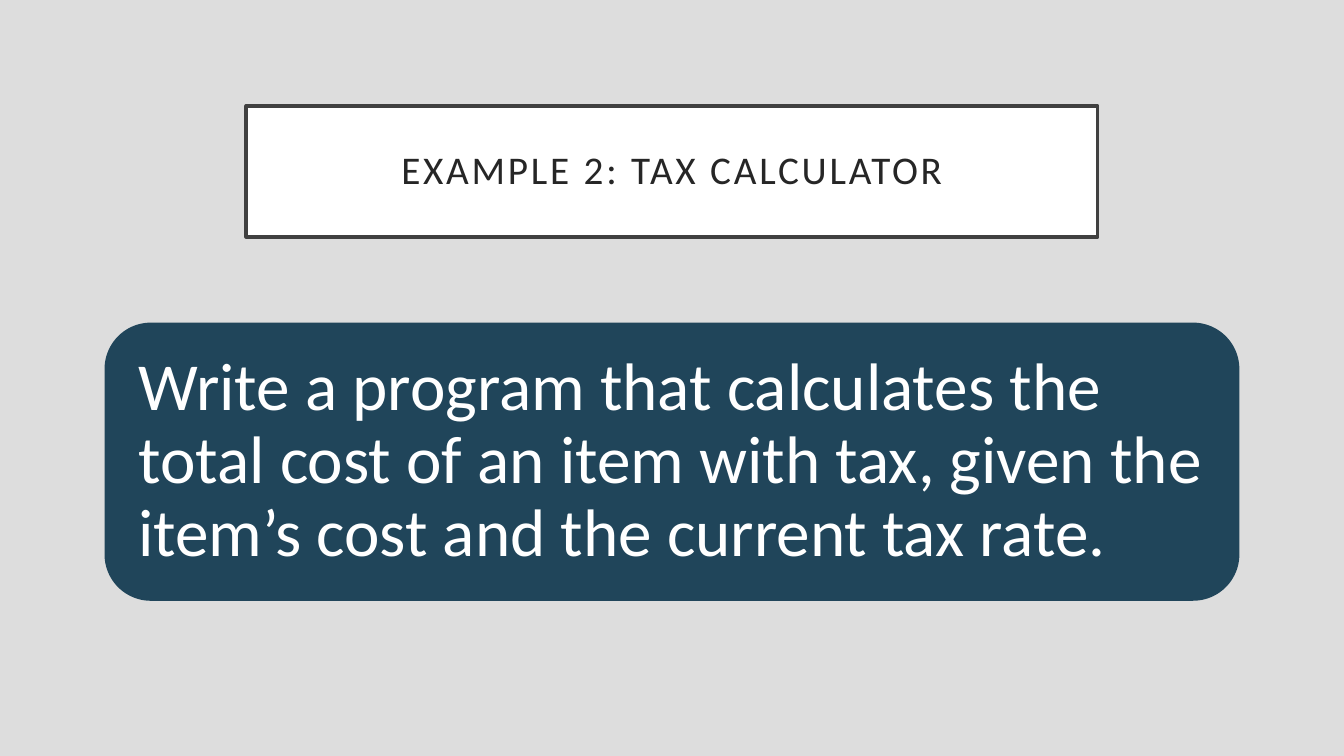
from pptx import Presentation
from pptx.dml.color import RGBColor
from pptx.enum.shapes import MSO_SHAPE
from pptx.enum.text import MSO_ANCHOR, MSO_AUTO_SIZE, PP_ALIGN
from pptx.util import Cm, Pt

HEADING = "EXAMPLE 2: TAX CALCULATOR"
TASK = ("Write a program that calculates the total cost of an item with tax, "
        "given the item’s cost and the current tax rate.")

SLIDE_WIDTH, SLIDE_HEIGHT = Cm(33.87), Cm(19.05)
HEADING_TOP, HEADING_WIDTH, HEADING_HEIGHT = Cm(2.67), Cm(21.46), Cm(3.3)
TASK_TOP, TASK_WIDTH, TASK_HEIGHT = Cm(8.13), Cm(28.6), Cm(7.01)
INSET = Cm(0.51)

FONT = "Calibri"
GREY = RGBColor(0xDD, 0xDD, 0xDD)
WHITE = RGBColor(0xFF, 0xFF, 0xFF)
BORDER = RGBColor(0x40, 0x40, 0x40)
INK = RGBColor(0x26, 0x26, 0x26)
NAVY = RGBColor(0x20, 0x45, 0x5A)

ROUNDED = MSO_SHAPE.ROUNDED_RECTANGLE
MIDDLE = MSO_ANCHOR.MIDDLE
NO_FIT = MSO_AUTO_SIZE.NONE
LEFT, CENTER = PP_ALIGN.LEFT, PP_ALIGN.CENTER


def write(shape, text, size, color, align=LEFT, spacing=0):
    frame = shape.text_frame
    frame.word_wrap = True
    frame.auto_size = NO_FIT
    frame.vertical_anchor = MIDDLE
    frame.margin_left = frame.margin_right = INSET
    frame.margin_top = frame.margin_bottom = INSET
    paragraph = frame.paragraphs[0]
    paragraph.alignment = align
    paragraph.line_spacing = 0.9
    paragraph.space_before = Pt(0)
    run = paragraph.add_run()
    run.text = text
    run.font.name = FONT
    run.font.size = Pt(size)
    run.font.bold = False
    run.font.color.rgb = color
    if spacing:
        run._r.get_or_add_rPr().set("spc", str(spacing * 100))


def place(shape, top, width, height):
    shape.left = (SLIDE_WIDTH - width) // 2
    shape.top, shape.width, shape.height = top, width, height


def fill(shape, color):
    shape.fill.solid()
    shape.fill.fore_color.rgb = color


def main():
    deck = Presentation()
    deck.slide_width, deck.slide_height = SLIDE_WIDTH, SLIDE_HEIGHT
    slide = deck.slides.add_slide(deck.slide_layouts[5])
    fill(slide.background, GREY)

    heading = slide.shapes.title
    place(heading, HEADING_TOP, HEADING_WIDTH, HEADING_HEIGHT)
    fill(heading, WHITE)
    heading.line.color.rgb = BORDER
    heading.line.width = Pt(2.5)
    write(heading, HEADING, size=28, color=INK, align=CENTER, spacing=2)

    task = slide.shapes.add_shape(ROUNDED, 0, TASK_TOP, TASK_WIDTH, TASK_HEIGHT)
    place(task, TASK_TOP, TASK_WIDTH, TASK_HEIGHT)
    fill(task, NAVY)
    task.line.fill.background()
    task.shadow.inherit = False
    write(task, TASK, size=48, color=WHITE)

    deck.save("out.pptx")


if __name__ == "__main__":
    main()
